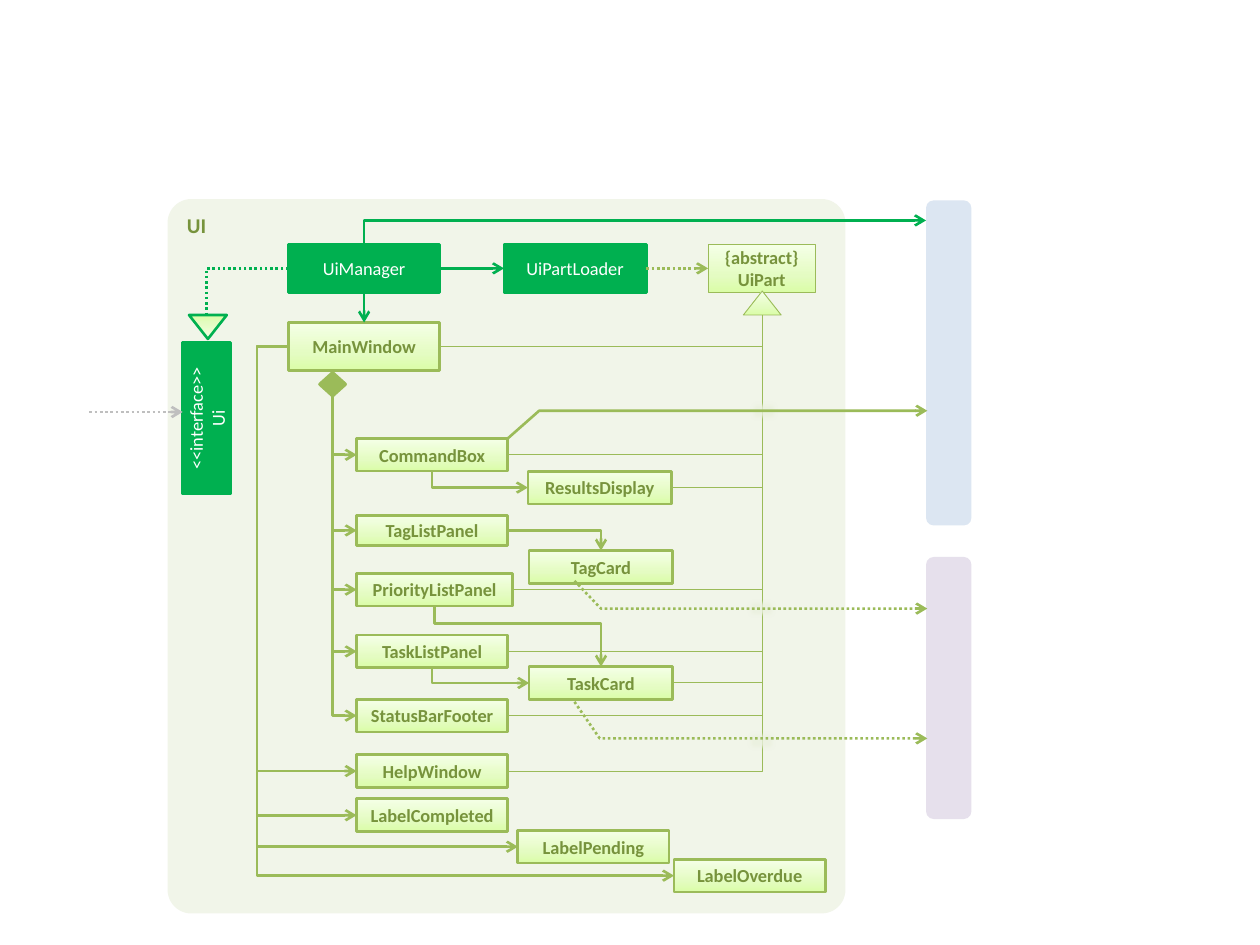
from copy import deepcopy
from dataclasses import dataclass
from lxml.etree import SubElement as Sub
from pptx import Presentation
from pptx.dml.color import RGBColor as Rgb
from pptx.enum.dml import MSO_LINE as Dash
from pptx.enum.shapes import MSO_CONNECTOR as Conn, MSO_SHAPE as Kind
from pptx.enum.text import MSO_ANCHOR as Anchor, PP_ALIGN as Align
from pptx.oxml.ns import qn
from pptx.util import Inches, Pt


@dataclass(frozen=True)
class Theme:
    font: str = "Calibri"
    small: float = 10.5
    head: float = 12
    thin: float = 0.5
    thick: float = 1.5
    white: str = "FFFFFF"
    panel: str = "F1F5E9"
    mask: str = "EBF1DE"
    ink: str = "77933C"
    olive: str = "9BBB59"
    green: str = "00B050"
    grey: str = "BFBFBF"
    logic: str = "DCE6F2"
    model: str = "E6E0EC"
    glow: tuple = ((0, "DAFDA7"), (0.35, "E4FCC2"), (1, "F5FFE7"))


T = Theme()


def hue(code):
    return Rgb.from_string(code)


def spot(x, y):
    return Inches(x), Inches(y)


def write(shape, text, size=T.small, color=T.ink, bold=True,
          align=Align.CENTER, anchor=Anchor.MIDDLE):
    frame = shape.text_frame
    frame.word_wrap = True
    frame.vertical_anchor = anchor
    for i, part in enumerate(text.split("\n")):
        para = frame.add_paragraph() if i else frame.paragraphs[0]
        para.text = part
        para.alignment = align
        for run in para.runs:
            font = run.font
            font.name, font.size, font.bold = T.font, Pt(size), bold
            font.color.rgb = hue(color)


def shade(shape):
    fill = shape.fill
    fill.gradient()
    fill.gradient_angle = 90
    stops = shape._element.spPr.find(".//" + qn("a:gsLst"))
    stops.insert(1, deepcopy(stops[0]))
    for stop, (place, code) in zip(fill.gradient_stops, T.glow):
        stop.position = place
        stop.color.rgb = hue(code)


def block(slide, kind, x, y, w, h, fill=None, edge=None, width=T.thick, turn=0):
    shape = slide.shapes.add_shape(kind, *spot(x, y), *spot(w, h))
    shape.rotation = turn
    if fill:
        shape.fill.solid()
        shape.fill.fore_color.rgb = hue(fill)
    else:
        shade(shape)
    if edge:
        shape.line.color.rgb = hue(edge)
        shape.line.width = Pt(width)
    else:
        shape.line.fill.background()
    shape.shadow.inherit = False
    return shape


def part(slide, text, x, y, w=1.2, h=0.26, width=T.thick):
    shape = block(slide, Kind.RECTANGLE, x, y, w, h, edge=T.olive, width=width)
    write(shape, text)
    return shape


def core(slide, text, x, y, w, h=0.38, turn=0):
    shape = block(slide, Kind.RECTANGLE, x, y, w, h, T.green, T.green, turn=turn)
    write(shape, text, color=T.white, bold=False)
    return shape


def mask(slide, x, y):
    shape = block(slide, Kind.RECTANGLE, x, y, 0.25, 0.18, T.mask)
    props = shape._element.spPr
    Sub(props.find(".//" + qn("a:srgbClr")), qn("a:alpha"), val="80000")
    Sub(props.find(qn("a:effectLst")), qn("a:softEdge"), rad="31750")


def stroke(item, color=T.olive, width=T.thick, dots=False, arrow=True):
    item.line.color.rgb = hue(color)
    item.line.width = Pt(width)
    if dots:
        item.line.dash_style = Dash.ROUND_DOT
    props = item._element.spPr
    if arrow:
        Sub(props.find(qn("a:ln")), qn("a:tailEnd"), type="arrow")
    if props.find(qn("a:effectLst")) is None:
        Sub(props, qn("a:effectLst"))


def mid(shape, site):
    x, y = ((1, 0), (0, 1), (1, 2), (2, 1))[site]
    return shape.left + shape.width * x // 2, shape.top + shape.height * y // 2


def join(slide, a, i, b, j, **style):
    line = slide.shapes.add_connector(Conn.STRAIGHT, *mid(a, i), *mid(b, j))
    line.begin_connect(a, i)
    line.end_connect(b, j)
    stroke(line, **style)


def bend(slide, a, b, down=False, leg=None, **style):
    (ax, ay), (bx, by) = a, b
    dx, dy = (by - ay, ax - bx) if down else (bx - ax, by - ay)
    cx, cy = (ax + bx) / 2, (ay + by) / 2
    ends = (cx - dx / 2, cy - dy / 2, cx + dx / 2, cy + dy / 2)
    line = slide.shapes.add_connector(Conn.ELBOW, *map(int, ends))
    props = line._element.spPr
    if down:
        props.find(qn("a:xfrm")).set("rot", "5400000")
    geom = props.find(qn("a:prstGeom"))
    if leg is None:
        geom.set("prst", "bentConnector2")
    else:
        ratio = round(Inches(leg) / dx * 100000)
        Sub(geom.find(qn("a:avLst")), qn("a:gd"), name="adj1", fmla=f"val {ratio}")
    stroke(line, **style)


def route(slide, first, *rest, dots=False):
    pen = slide.shapes.build_freeform(*spot(*first), scale=1.0)
    pen.add_line_segments([spot(*dot) for dot in rest], close=False)
    shape = pen.convert_to_shape()
    shape.fill.background()
    shape.shadow.inherit = False
    stroke(shape, dots=dots)


def main():
    deck = Presentation()
    deck.slide_width, deck.slide_height = spot(10, 7.5)
    slide = deck.slides.add_slide(deck.slide_layouts[6])

    panel = block(slide, Kind.ROUNDED_RECTANGLE, 1.33, 1.58, 5.38, 5.67, T.panel)
    panel.adjustments[0] = 0.035
    write(panel, "UI", size=T.head, align=Align.LEFT, anchor=Anchor.TOP)
    for x, y, w, fill in ((6.24, 2.7, 2.58, T.logic), (6.49, 5.28, 2.08, T.model)):
        block(slide, Kind.ROUNDED_RECTANGLE, x, y, w, 0.36, fill, turn=270)

    boss = core(slide, "UiManager", 2.29, 1.94, 1.2)
    loader = core(slide, "UiPartLoader", 4, 1.94, 1.13)
    face = core(slide, "<<interface>>\nUi", 1.04, 3.13, 1.2, turn=270)
    window = part(slide, "MainWindow", 2.29, 2.56, h=0.38)
    base = part(slide, "{abstract}\vUiPart", 5.62, 1.94, 0.85, 0.38, T.thin)
    command = part(slide, "CommandBox", 2.83, 3.48)
    result = part(slide, "ResultsDisplay", 4.19, 3.74, 1.14)
    tags = part(slide, "TagListPanel", 2.83, 4.09, h=0.24)
    tag = part(slide, "TagCard", 4.2, 4.37, 1.14)
    rank = part(slide, "PriorityListPanel", 2.83, 4.55, 1.24)
    tasks = part(slide, "TaskListPanel", 2.83, 5.04)
    task = part(slide, "TaskCard", 4.2, 5.29, 1.14)
    status = part(slide, "StatusBarFooter", 2.83, 5.55)
    guide = part(slide, "HelpWindow", 2.83, 5.99)
    done = part(slide, "LabelCompleted", 2.83, 6.34)
    wait = part(slide, "LabelPending", 4.11, 6.59)
    late = part(slide, "LabelOverdue", 5.35, 6.82)

    block(slide, Kind.ISOSCELES_TRIANGLE, 5.9, 2.31, 0.3, 0.19,
          edge=T.olive, width=T.thin)
    block(slide, Kind.ISOSCELES_TRIANGLE, 1.5, 2.5, 0.3, 0.19,
          edge=T.green, turn=180)
    block(slide, Kind.FLOWCHART_DECISION, 2.54, 2.96, 0.2, 0.18,
          T.olive, T.olive, width=2)

    for heir in (window, command, result, rank, tasks, task, status, guide):
        bend(slide, spot(6.05, 2.5), mid(heir, 3), down=True,
             width=T.thin, arrow=False)
    for child in (command, tags, rank, tasks, status):
        bend(slide, spot(2.64, 3.14), mid(child, 1), down=True)
    for child in (guide, done, wait, late):
        bend(slide, mid(window, 1), mid(child, 1), leg=-0.25)
    for owner, card in ((command, result), (tasks, task)):
        bend(slide, mid(owner, 2), mid(card, 1), down=True)
    bend(slide, mid(rank, 2), mid(task, 0), down=True, leg=0.14)
    bend(slide, mid(tags, 3), mid(tag, 0))
    bend(slide, mid(boss, 0), spot(7.35, 1.75), down=True, color=T.green)
    bend(slide, mid(boss, 1), spot(1.64, 2.5), color=T.green,
         dots=True, arrow=False)

    join(slide, boss, 2, window, 0, color=T.green)
    join(slide, boss, 3, loader, 1, color=T.green)
    join(slide, loader, 3, base, 1, dots=True)
    entry = slide.shapes.add_connector(
        Conn.STRAIGHT, *spot(0.71, 3.27), *spot(1.45, 3.27))
    entry.end_connect(face, 0)
    entry.end_x, entry.end_y = spot(1.45, 3.27)
    stroke(entry, color=T.grey, dots=True)

    for x, y in ((5.94, 3.17), (5.92, 4.74), (5.92, 5.79)):
        mask(slide, x, y)
    route(slide, (4.03, 3.48), (4.28, 3.26), (7.36, 3.26))
    route(slide, (4.56, 4.61), (4.77, 4.83), (7.36, 4.83), dots=True)
    route(slide, (4.56, 5.57), (4.76, 5.86), (7.36, 5.86), dots=True)

    deck.save("out.pptx")


if __name__ == "__main__":
    main()
